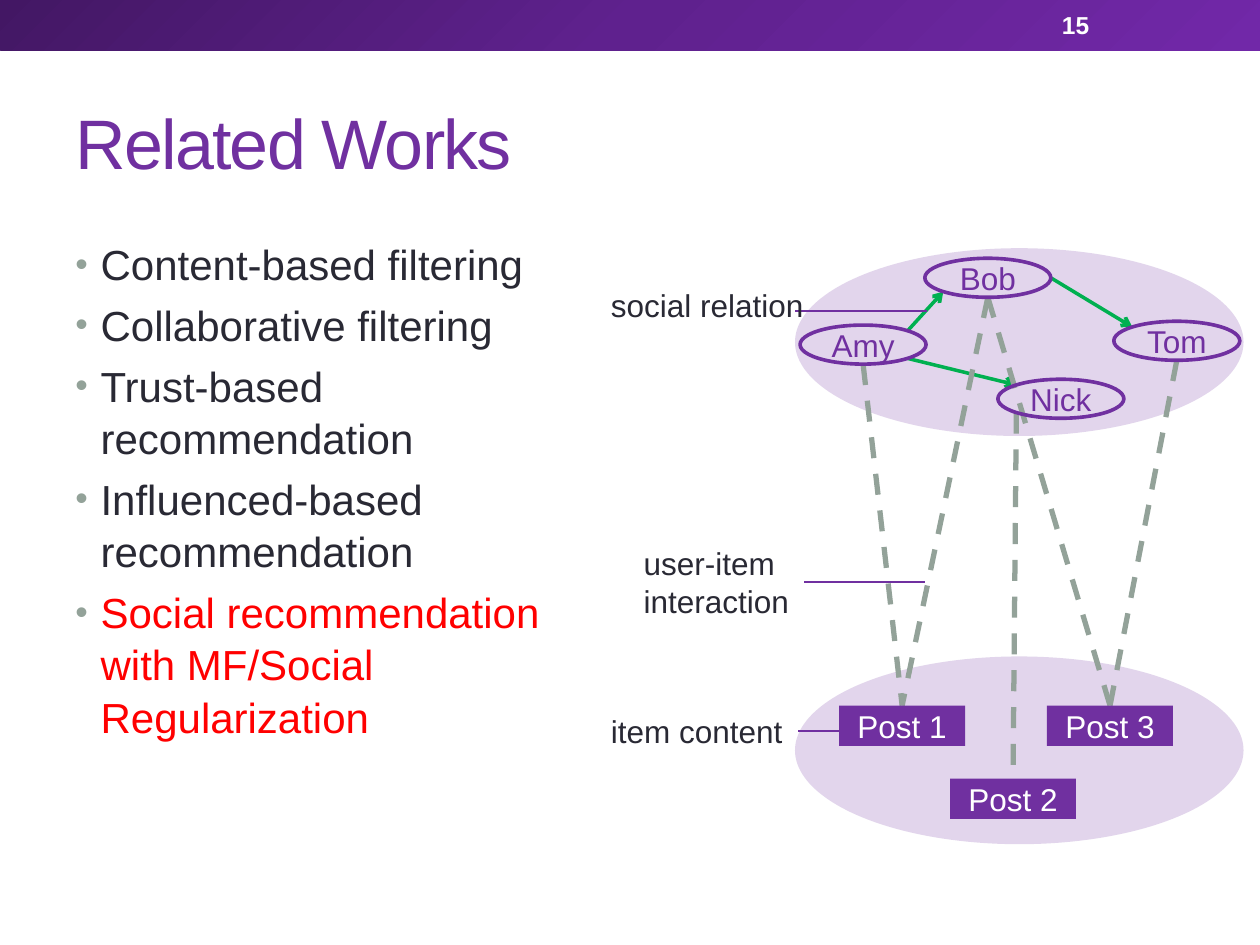
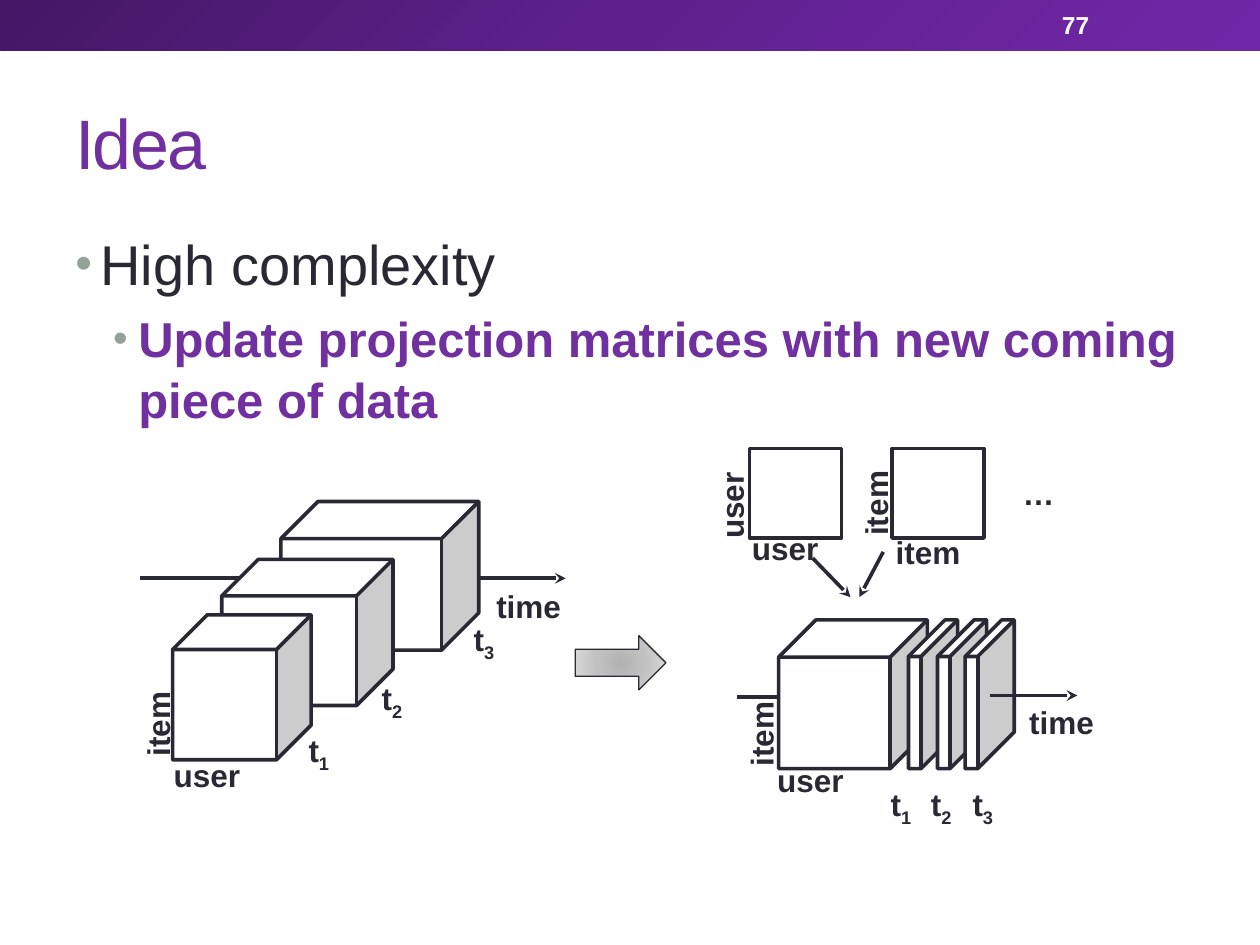
from dataclasses import dataclass
from math import cos, radians, sin

from lxml import etree
from pptx import Presentation
from pptx.dml.color import RGBColor
from pptx.enum.dml import MSO_LINE
from pptx.enum.shapes import MSO_CONNECTOR, MSO_SHAPE
from pptx.enum.text import MSO_ANCHOR, MSO_AUTO_SIZE, PP_ALIGN
from pptx.oxml.ns import qn
from pptx.util import Inches, Pt


@dataclass(frozen=True)
class Theme:
    font: str = "Arial"
    purple: str = "7030A0"
    ink: str = "292934"
    sage: str = "93A299"
    green: str = "00B050"
    red: str = "FF0000"
    white: str = "FFFFFF"
    band: tuple = ((0, "431764"), (50, "5F218E"), (100, "7128A8"))
    arrow: tuple = ((0, "B2B2B3"), (45, "C1C1C2"), (100, "DDDDDE"))
    title_size: int = 40
    number_size: int = 14
    label_size: int = 18
    outline: float = 2.08


THEME = Theme()

RELATED_WORKS = [
    ("Content-based filtering", 0, 24, THEME.ink, False),
    ("Collaborative filtering", 0, 24, THEME.ink, False),
    ("Trust-based recommendation", 0, 24, THEME.ink, False),
    ("Influenced-based recommendation", 0, 24, THEME.ink, False),
    ("Social recommendation with MF/Social Regularization", 0, 24, THEME.red, False),
]
IDEA = [
    ("High complexity", 0, 32, THEME.ink, False),
    ("Update projection matrices with new coming piece of data", 1, 28, THEME.purple, True),
]

LAYERS = [(6.31, 1.97, 3.56, 1.49), (6.31, 5.21, 3.56, 1.49)]
USER_SIZE = (1, 0.31)
USERS = {"Amy": (6.35, 2.58), "Tom": (8.84, 2.55), "Bob": (7.34, 2.05), "Nick": (7.92, 3.01)}
POST_SIZE = (1, 0.32)
POSTS = {"Post 1": (6.66, 5.6), "Post 2": (7.54, 6.18), "Post 3": (8.31, 5.6)}
SITES = {"right": 0, "lower right": 45, "bottom": 90, "lower left": 135,
         "upper left": 225, "upper right": 315}
RELATIONS = [
    ("Amy", "upper right", "Bob", "lower left"),
    ("Amy", "lower right", "Nick", "upper left"),
    ("Bob", "right", "Tom", "upper left"),
]
INTERACTIONS = [
    ("Amy", "bottom", "Post 1"),
    ("Bob", "bottom", "Post 1"),
    ("Bob", "bottom", "Post 3"),
    ("Tom", "bottom", "Post 3"),
    ("Nick", "lower left", "Post 2"),
]
CALLOUTS = [
    (["social relation"], (4.75, 2.22, 1.74, 0.4), (6.31, 2.47), (7.36, 2.47)),
    (["user-item", "interaction"], (5.01, 4.27, 1.37, 0.71), (7.34, 4.62), (6.38, 4.62)),
    (["item content"], (4.75, 5.6, 1.58, 0.4), (6.69, 5.8), (6.33, 5.8)),
]

AXIS_STARTS = [((1.11, 4.59), (2.13, 4.59)), ((5.85, 5.53), (6.77, 5.53))]
CUBES = [
    (2.23, 3.98, 1.57, 1.18, None),
    (1.76, 4.44, 1.36, 1.16, None),
    (1.37, 4.88, 1.1, 1.15, None),
    (6.18, 4.92, 1.18, 1.18, None),
    *[(left, 4.92, 0.39, 1.18, 0.744) for left in (7.21, 7.44, 7.66)],
    *[(left, 3.56, 0.73, 0.71, 0) for left in (5.95, 7.08)],
]
STEALTH_ARROWS = [
    ((3.81, 4.59), (4.49, 4.59)),
    ((7.86, 5.52), (8.55, 5.52)),
    ((6.45, 4.43), (6.75, 4.74)),
    ((7.01, 4.38), (6.82, 4.74)),
]
LABEL_WIDTHS = {"time": 0.72, "item": 0.72, "user": 0.73, "t": 0.38, "…": 0.45}
CUBE_LABELS = [
    ("time", "", 3.84, 4.61, 0),
    ("user", "", 1.28, 5.95, 0),
    ("item", "", 0.89, 5.54, 270),
    ("t", "1", 2.35, 5.75, 0),
    ("t", "2", 2.93, 5.34, 0),
    ("t", "3", 3.66, 4.87, 0),
    ("time", "", 8.07, 5.53, 0),
    ("user", "", 6.07, 5.99, 0),
    ("item", "", 5.68, 5.62, 270),
    ("t", "1", 6.97, 6.18, 0),
    ("t", "2", 7.29, 6.18, 0),
    ("t", "3", 7.62, 6.18, 0),
    ("…", "", 8.02, 3.71, 0),
    ("user", "", 5.87, 4.15, 0),
    ("user", "", 5.44, 3.81, 270),
    ("item", "", 6.59, 3.79, 270),
    ("item", "", 7.01, 4.18, 0),
]


def inches(values):
    return [Inches(value) for value in values]


def add_element(parent, tag, **attributes):
    return etree.SubElement(parent, qn(tag), {key: str(value) for key, value in attributes.items()})


def add_span(para, text, size, color, bold=False):
    span = para.add_run()
    span.text = text
    span.font.name = THEME.font
    span.font.size = Pt(size)
    span.font.bold = bold
    span.font.color.rgb = RGBColor.from_string(color)
    return span


def add_box(page, place, wrap=True, anchor=MSO_ANCHOR.TOP):
    box = page.shapes.add_textbox(*inches(place))
    frame = box.text_frame
    frame.word_wrap = wrap
    frame.vertical_anchor = anchor
    if not wrap:
        frame.auto_size = MSO_AUTO_SIZE.SHAPE_TO_FIT_TEXT
    return box


def add_figure(page, preset, place, fill=None, line=None, width=THEME.outline):
    figure = page.shapes.add_shape(preset, *inches(place))
    figure.shadow.inherit = False
    if fill:
        figure.fill.solid()
        figure.fill.fore_color.rgb = RGBColor.from_string(fill)
    else:
        figure.fill.background()
    if line:
        figure.line.color.rgb = RGBColor.from_string(line)
        figure.line.width = Pt(width)
    else:
        figure.line.fill.background()
    return figure


def add_caption(figure, text, color):
    frame = figure.text_frame
    frame.word_wrap = False
    frame.vertical_anchor = MSO_ANCHOR.MIDDLE
    para = frame.paragraphs[0]
    para.alignment = PP_ALIGN.CENTER
    add_span(para, text, THEME.label_size, color)


def set_gradient(figure, stops, angle=None):
    properties = figure._element.spPr
    gradient = etree.Element(qn("a:gradFill"), rotWithShape="1")
    stop_list = add_element(gradient, "a:gsLst")
    for position, color in stops:
        stop = add_element(stop_list, "a:gs", pos=position * 1000)
        add_element(stop, "a:srgbClr", val=color)
    if angle is None:
        circle = add_element(gradient, "a:path", path="circle")
        add_element(circle, "a:fillToRect", l=100000, t=100000, r=100000, b=100000)
    else:
        add_element(gradient, "a:lin", ang=angle * 60000, scaled=0)
    properties.replace(properties.find(qn("a:noFill")), gradient)


def add_line(page, start, end, color, width, head=None, dashed=False):
    line = page.shapes.add_connector(MSO_CONNECTOR.STRAIGHT, *inches(start + end))
    line.line.color.rgb = RGBColor.from_string(color)
    line.line.width = Pt(width)
    if dashed:
        line.line.dash_style = MSO_LINE.DASH
    if head:
        add_element(line.line._get_or_add_ln(), "a:tailEnd", type=head)
    add_element(line._element.spPr, "a:effectLst")


def add_bullets(page, place, items):
    frame = add_box(page, place).text_frame
    for index, (text, level, size, color, bold) in enumerate(items):
        para = frame.paragraphs[0] if index == 0 else frame.add_paragraph()
        para.level = level
        properties = para._p.get_or_add_pPr()
        properties.set("marL", str(Inches(0.2 + 0.3 * level)))
        properties.set("indent", str(-Inches(0.2)))
        add_element(add_element(properties, "a:buClr"), "a:srgbClr", val=THEME.sage)
        add_element(properties, "a:buSzPct", val=85000)
        add_element(properties, "a:buFont", typeface=THEME.font)
        add_element(properties, "a:buChar", char="•")
        para.line_spacing = 1.04
        if index:
            para.space_before = Pt(round(0.2 * size, 1))
        add_span(para, text, size, color, bold)


def add_page(deck, title, number):
    page = deck.slides.add_slide(deck.slide_layouts[6])
    band = add_figure(page, MSO_SHAPE.RECTANGLE, (0, 0, 10, 0.4))
    set_gradient(band, THEME.band, 45)
    number_box = add_box(page, (8.33, 0.02, 1.17, 0.36), anchor=MSO_ANCHOR.MIDDLE)
    add_span(number_box.text_frame.paragraphs[0], number, THEME.number_size, THEME.white, True)
    title_box = add_box(page, (0.5, 0.58, 9, 1.08), anchor=MSO_ANCHOR.MIDDLE)
    span = add_span(title_box.text_frame.paragraphs[0], title, THEME.title_size, THEME.purple)
    span._r.get_or_add_rPr().set("spc", "-100")
    return page


def user_site(user, site):
    left, top = USERS[user]
    width, height = USER_SIZE
    angle = radians(SITES[site])
    return (left + width / 2 * (1 + cos(angle)), top + height / 2 * (1 + sin(angle)))


def post_top(post):
    left, top = POSTS[post]
    return (left + POST_SIZE[0] / 2, top)


def build_related_works(deck):
    page = add_page(deck, "Related Works", "15")
    for place in LAYERS:
        layer = add_figure(page, MSO_SHAPE.OVAL, place, THEME.purple)
        color = layer._element.spPr.find(qn("a:solidFill")).find(qn("a:srgbClr"))
        add_element(color, "a:alpha", val=20000)
    for source, source_site, target, target_site in RELATIONS:
        add_line(page, user_site(source, source_site), user_site(target, target_site),
                 THEME.green, 2, "arrow")
    for user, site, post in INTERACTIONS:
        add_line(page, user_site(user, site), post_top(post), THEME.sage, 3, dashed=True)
    for user, corner in USERS.items():
        oval = add_figure(page, MSO_SHAPE.OVAL, corner + USER_SIZE, line=THEME.purple)
        add_caption(oval, user, THEME.purple)
    for post, corner in POSTS.items():
        card = add_figure(page, MSO_SHAPE.RECTANGLE, corner + POST_SIZE, THEME.purple)
        add_caption(card, post, THEME.white)
    for lines, place, start, end in CALLOUTS:
        add_line(page, start, end, THEME.purple, 1)
        frame = add_box(page, place, wrap=False).text_frame
        for index, text in enumerate(lines):
            para = frame.add_paragraph() if index else frame.paragraphs[0]
            add_span(para, text, THEME.label_size, THEME.ink)
    add_bullets(page, (0.5, 1.83, 4.42, 5.16), RELATED_WORKS)


def build_idea(deck):
    page = add_page(deck, "Idea", "77")
    add_bullets(page, (0.5, 1.75, 9, 5.33), IDEA)
    for start, end in AXIS_STARTS:
        add_line(page, start, end, THEME.ink, THEME.outline)
    for *place, depth in CUBES:
        cube = add_figure(page, MSO_SHAPE.CUBE, place, THEME.white, THEME.ink)
        if depth is not None:
            cube.adjustments[0] = depth
    for start, end in STEALTH_ARROWS:
        add_line(page, start, end, THEME.ink, THEME.outline, "stealth")
    arrow = add_figure(page, MSO_SHAPE.DOWN_ARROW, (4.71, 4.9, 0.43, 0.72),
                       line=THEME.ink, width=0.75)
    set_gradient(arrow, THEME.arrow)
    arrow.rotation = 270
    for text, subscript, left, top, rotation in CUBE_LABELS:
        box = add_box(page, (left, top, LABEL_WIDTHS[text], 0.4), wrap=False)
        box.rotation = rotation
        para = box.text_frame.paragraphs[0]
        add_span(para, text, THEME.label_size, THEME.ink, True)
        if subscript:
            span = add_span(para, subscript, THEME.label_size, THEME.ink, True)
            span._r.get_or_add_rPr().set("baseline", "-25000")


def main():
    deck = Presentation()
    deck.slide_width, deck.slide_height = inches((10, 7.5))
    build_related_works(deck)
    build_idea(deck)
    deck.save("out.pptx")


if __name__ == "__main__":
    main()
